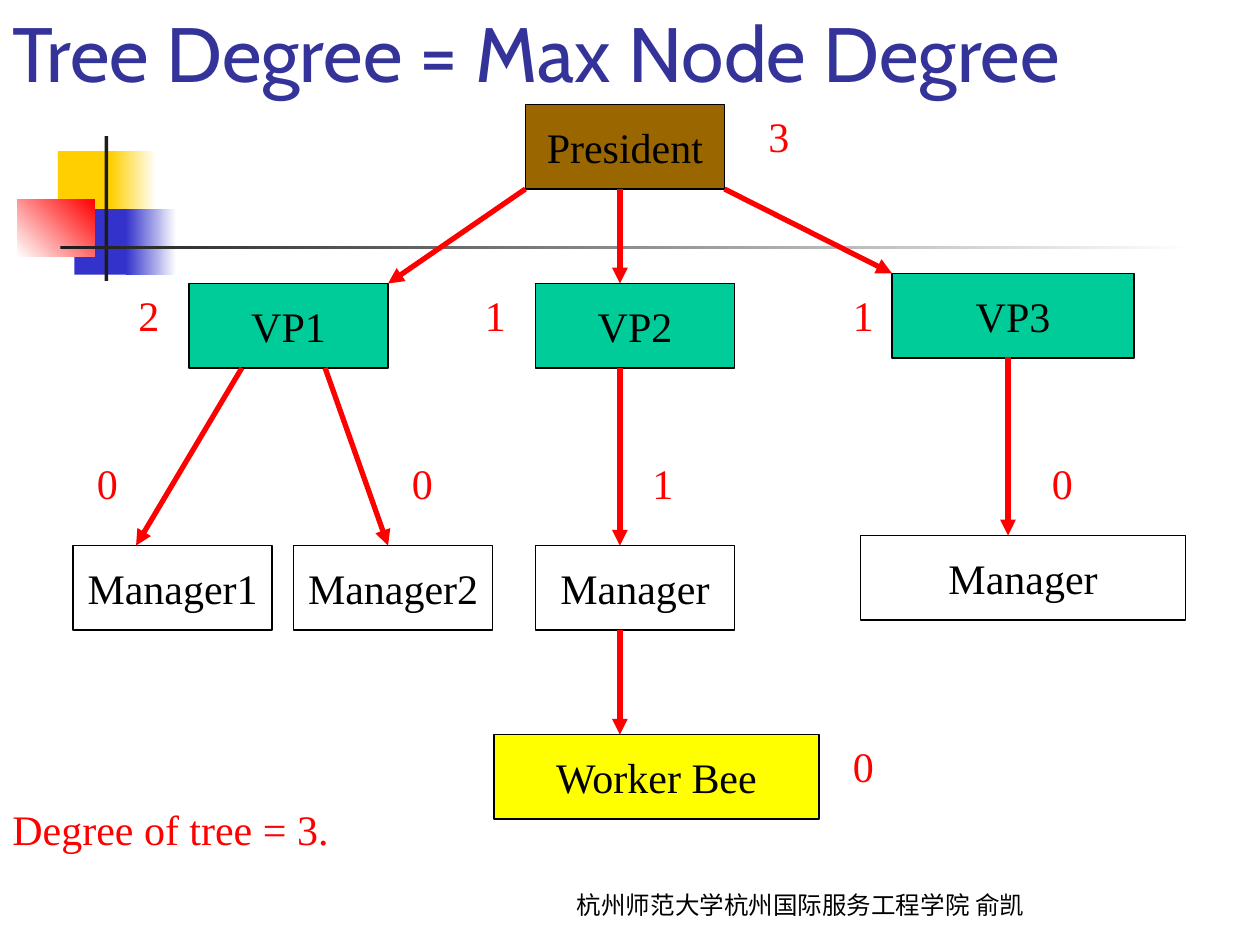
import pptx
import pptx.dml.color
import pptx.enum.shapes
import pptx.enum.text
import pptx.oxml
import pptx.oxml.ns
import pptx.util

Inches = pptx.util.Inches
RGBColor = pptx.dml.color.RGBColor
SHAPE = pptx.enum.shapes.MSO_SHAPE
ALIGN = pptx.enum.text.PP_ALIGN
ANCHOR = pptx.enum.text.MSO_ANCHOR

BLACK = RGBColor(0x00, 0x00, 0x00)
WHITE = RGBColor(0xFF, 0xFF, 0xFF)
RED = RGBColor(0xFF, 0x00, 0x00)
GOLD = RGBColor(0xFF, 0xCF, 0x01)
BLUE = RGBColor(0x33, 0x33, 0xCC)
CHARCOAL = RGBColor(0x1C, 0x1C, 0x1C)
NAVY = RGBColor(0x33, 0x33, 0x99)
BROWN = RGBColor(0x99, 0x66, 0x00)
GREEN = RGBColor(0x00, 0xCC, 0x99)
YELLOW = RGBColor(0xFF, 0xFF, 0x00)

SERIF = "Times New Roman"
SANS = "Cabin"


def write_text(box, text, color, font=SERIF, size=24, align=ALIGN.LEFT, anchor=ANCHOR.TOP, wrap=True):
    frame = box.text_frame
    frame.word_wrap = wrap
    frame.vertical_anchor = anchor
    para = frame.paragraphs[0]
    para.alignment = align
    span = para.add_run()
    span.text = text
    for name, value in {"name": font, "size": pptx.util.Pt(size)}.items():
        setattr(span.font, name, value)
    span.font.color.rgb = color
    return para


def add_block(shapes, place, colors, angle=0, preset=SHAPE.RECTANGLE):
    """Add an unlined shape: one colour fills it flat, two make a gradient."""
    block = shapes.add_shape(preset, *map(Inches, place))
    block.shadow.inherit = False
    block.line.fill.background()
    if len(colors) == 1:
        block.fill.solid()
        block.fill.fore_color.rgb = colors[0]
    else:
        block.fill.gradient()
        block.fill.gradient_angle = angle
        for stop, color in zip(block.fill.gradient_stops, colors):
            stop.color.rgb = color
    return block


deck = pptx.Presentation()
deck.slide_width = Inches(10)
deck.slide_height = Inches(7.5)
slide = deck.slides.add_slide(deck.slide_layouts[6])

# Corner decoration and rule
decoration = [
    ((0.46, 1.2, 0.48, 0.52), [GOLD], 0),
    ((0.88, 1.2, 0.36, 0.52), [GOLD, WHITE], 0),
    ((0.59, 1.66, 0.46, 0.52), [BLUE], 0),
    ((1, 1.66, 0.4, 0.52), [BLUE, WHITE], 0),
    ((0.14, 1.58, 0.61, 0.46), [WHITE, RED], 45),
    ((0.83, 1.08, 0.03, 1.15), [CHARCOAL], 0),
    ((0.48, 1.95, 9, 0.03), [CHARCOAL, WHITE], 0),
]
for place, colors, angle in decoration:
    add_block(slide.shapes, place, colors, angle)

# Footer, title and conclusion
footer = slide.shapes.add_textbox(Inches(4.06), Inches(7.02), Inches(4.59), Inches(0.33))
footer_para = write_text(footer, "杭州师范大学杭州国际服务工程学院 俞凯", BLACK, SANS, 14,
                         ALIGN.CENTER, ANCHOR.BOTTOM)
footer_para.line_spacing = 0.96
title = slide.shapes.add_textbox(0, 0, Inches(10), Inches(0.83))
write_text(title, "Tree Degree = Max Node Degree", NAVY, SANS, 44, anchor=ANCHOR.BOTTOM)
conclusion = slide.shapes.add_textbox(0, Inches(6.33), Inches(3.92), Inches(0.5))
write_text(conclusion, "Degree of tree = 3.", RED)

# Tree nodes: label, left, top, width, fill
tree = slide.shapes.add_group_shape().shapes
nodes = [
    ("President", 4.17, 0.83, 1.58, BROWN),
    ("VP1", 1.5, 2.25, 1.58, GREEN),
    ("VP2", 4.25, 2.25, 1.58, GREEN),
    ("VP3", 7.08, 2.17, 1.92, GREEN),
    ("Manager1", 0.58, 4.33, 1.58, WHITE),
    ("Manager2", 2.33, 4.33, 1.58, WHITE),
    ("Manager", 4.25, 4.33, 1.58, WHITE),
    ("Manager", 6.83, 4.25, 2.58, WHITE),
    ("Worker Bee", 3.92, 5.83, 2.58, YELLOW),
]
for label, left, top, width, color in nodes:
    node = add_block(tree, (left, top, width, 0.67), [color])
    node.line.color.rgb = BLACK
    node.line.width = pptx.util.Pt(1)
    write_text(node, label, BLACK, align=ALIGN.CENTER, anchor=ANCHOR.MIDDLE, wrap=False)

# Arrows from parent to child: start x, start y, end x, end y
arrows = [
    (4.92, 1.5, 4.92, 2.25),
    (4.17, 1.5, 3.08, 2.25),
    (5.75, 1.5, 7.08, 2.17),
    (1.92, 2.92, 1.08, 4.33),
    (2.58, 2.92, 3.08, 4.33),
    (4.92, 2.92, 4.92, 4.33),
    (8, 2.83, 8, 4.25),
    (4.92, 5, 4.92, 5.83),
]
for ends in arrows:
    arrow = tree.add_connector(pptx.enum.shapes.MSO_CONNECTOR.STRAIGHT, *map(Inches, ends))
    arrow.line.color.rgb = RED
    arrow.line.width = pptx.util.Pt(3)
    head = pptx.oxml.parse_xml(f'<a:tailEnd {pptx.oxml.ns.nsdecls("a")} type="triangle"/>')
    arrow.line._get_or_add_ln().append(head)
    no_effects = pptx.oxml.parse_xml(f'<a:effectLst {pptx.oxml.ns.nsdecls("a")}/>')
    arrow._element.spPr.append(no_effects)

# Node degrees: value, left, top
degrees = [
    ("3", 6, 0.83),
    ("2", 1, 2.25), ("1", 3.75, 2.25), ("1", 6.67, 2.25),
    ("0", 0.67, 3.58), ("0", 3.17, 3.58), ("1", 5.08, 3.58), ("0", 8.25, 3.58),
    ("0", 6.67, 5.83),
]
for value, left, top in degrees:
    degree = tree.add_textbox(Inches(left), Inches(top), Inches(0.5), Inches(0.5))
    write_text(degree, value, RED)

deck.save("out.pptx")
